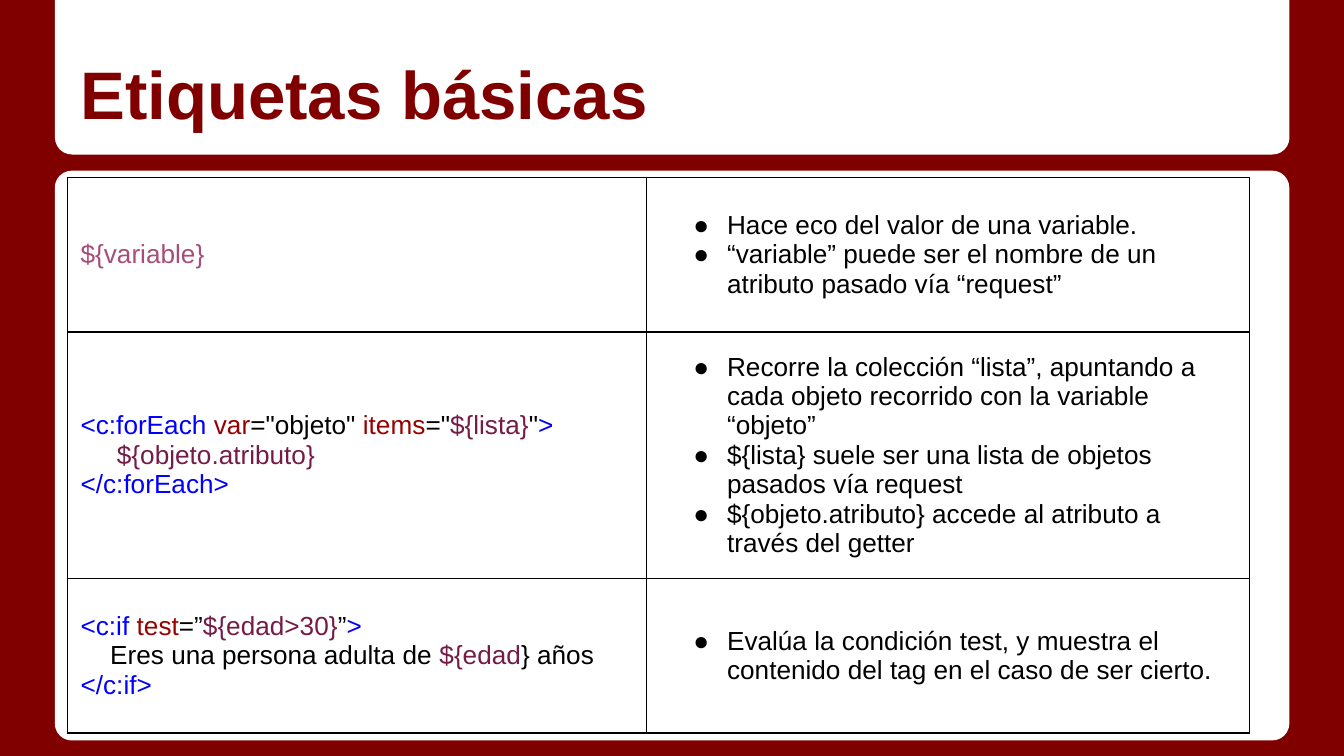
from lxml import etree
from pptx import Presentation
from pptx.dml.color import RGBColor
from pptx.enum.shapes import MSO_SHAPE
from pptx.enum.text import MSO_ANCHOR
from pptx.oxml.ns import qn
from pptx.util import Inches, Pt

ROUNDED = MSO_SHAPE.ROUNDED_RECTANGLE
ROUNDED_PAIR = MSO_SHAPE.ROUND_2_SAME_RECTANGLE
BOTTOM, MIDDLE = MSO_ANCHOR.BOTTOM, MSO_ANCHOR.MIDDLE

# Widescreen, 16:9
WIDTH = Inches(10)
HEIGHT = WIDTH * 9 // 16
FONT = "Arial"
COLORS = {
    "maroon": "800000", "panel": "FFFFFF", "text": "000000", "tag": "0000FF",
    "attribute": "980000", "expression": "741B47", "variable": "A64D79",
}
INSETS = dict.fromkeys(
    ("margin_left", "margin_right", "margin_top", "margin_bottom"), Inches(0.1))

# Table grid, in percent of the slide's width and height
COLUMNS = (43.1, 44.9)
ROWS = (20.44, 29.33, 20.44)

# Each row: code lines as (indent, runs), then the explanations
TAGS = [
    ([(0, [("${variable}", "variable")])],
     ["Hace eco del valor de una variable.",
      "“variable” puede ser el nombre de un atributo pasado vía “request”"]),
    ([(0, [("<c:forEach ", "tag"), ("var", "attribute"), ('="objeto" ', "text"),
           ("items", "attribute"), ('="', "text"), ("${lista}", "expression"),
           ('"', "text"), (">", "tag")]),
      (0.27, [("${objeto.atributo}", "expression")]),
      (0, [("</c:forEach>", "tag")])],
     ["Recorre la colección “lista”, apuntando a cada objeto recorrido "
      "con la variable “objeto”",
      "${lista} suele ser una lista de objetos pasados vía request",
      "${objeto.atributo} accede al atributo a través del getter"]),
    ([(0, [("<c:if ", "tag"), ("test", "attribute"), ("=”", "text"),
           ("${edad>30}", "expression"), ("”", "text"), (">", "tag")]),
      (0.22, [("Eres una persona adulta de ", "text"), ("${edad", "expression"),
              ("} años", "text")]),
      (0, [("</c:if>", "tag")])],
     ["Evalúa la condición test, y muestra el contenido del tag "
      "en el caso de ser cierto."]),
]


def across(percent):
    return round(WIDTH * percent / 100)


def down(percent):
    return round(HEIGHT * percent / 100)


def rgb(name):
    return RGBColor.from_string(COLORS[name])


def set_all(target, values):
    for key, value in values.items():
        setattr(target, key, value)


def add_panel(slide, kind, top, height, corners, rotation=0):
    panel = slide.shapes.add_shape(
        kind, across(4.08), down(top), across(91.86), down(height))
    panel.shadow.inherit = False
    panel.fill.solid()
    panel.fill.fore_color.rgb = rgb("panel")
    panel.line.fill.background()
    panel.rotation = rotation
    for index, corner in enumerate(corners):
        panel.adjustments[index] = corner


def add_run(paragraph, text, color, size=14, bold=False):
    run = paragraph.add_run()
    run.text = text
    set_all(run.font, {"name": FONT, "size": Pt(size), "bold": bold})
    run.font.color.rgb = rgb(color)


def add_title(slide, text):
    frame = slide.shapes.add_textbox(
        across(5), down(2.67), across(90), down(16.71)).text_frame
    set_all(frame, {"word_wrap": True, "vertical_anchor": BOTTOM, **INSETS})
    add_run(frame.paragraphs[0], text, "maroon", size=36, bold=True)


def add_borders(cell):
    properties = cell._tc.get_or_add_tcPr()
    for side in ("a:lnL", "a:lnR", "a:lnT", "a:lnB"):
        border = etree.SubElement(properties, qn(side), w=str(Pt(0.75)))
        fill = etree.SubElement(border, qn("a:solidFill"))
        etree.SubElement(fill, qn("a:srgbClr"), val=COLORS["text"])


def indent(paragraph, left, first=0, bullet=None):
    properties = paragraph._p.get_or_add_pPr()
    properties.set("marL", str(Inches(left)))
    properties.set("indent", str(Inches(first)))
    if bullet:
        etree.SubElement(properties, qn("a:buFont"), typeface=FONT)
        etree.SubElement(properties, qn("a:buChar"), char=bullet)


def fill_cell(cell, lines, first=0, bullet=None):
    set_all(cell, {"vertical_anchor": MIDDLE, **INSETS})
    add_borders(cell)
    cell.fill.background()
    frame = cell.text_frame
    for number, (left, runs) in enumerate(lines):
        paragraph = frame.add_paragraph() if number else frame.paragraphs[0]
        indent(paragraph, left, first, bullet)
        for text, color in runs:
            add_run(paragraph, text, color)


def add_tag_table(slide):
    table = slide.shapes.add_table(
        len(ROWS), len(COLUMNS), across(5), down(23.47),
        across(sum(COLUMNS)), down(sum(ROWS))).table
    set_all(table, {"first_row": False, "horz_banding": False})
    for column, width in zip(table.columns, COLUMNS):
        column.width = across(width)
    for row, height, (code, notes) in zip(table.rows, ROWS, TAGS):
        row.height = down(height)
        code_cell, notes_cell = row.cells
        fill_cell(code_cell, code)
        fill_cell(notes_cell, [(0.5, [(note, "text")]) for note in notes],
                  first=-0.25, bullet="●")


def main():
    deck = Presentation()
    set_all(deck, {"slide_width": WIDTH, "slide_height": HEIGHT})
    slide = deck.slides.add_slide(deck.slide_layouts[6])
    slide.background.fill.solid()
    slide.background.fill.fore_color.rgb = rgb("maroon")

    # Body panel, then header panel with its rounded corners turned down
    add_panel(slide, ROUNDED, 22.58, 75.38, [0.03])
    add_panel(slide, ROUNDED_PAIR, 0, 20.44, [0.11, 0], rotation=180)

    # Content
    add_title(slide, "Etiquetas básicas")
    add_tag_table(slide)
    deck.save("out.pptx")


if __name__ == "__main__":
    main()
